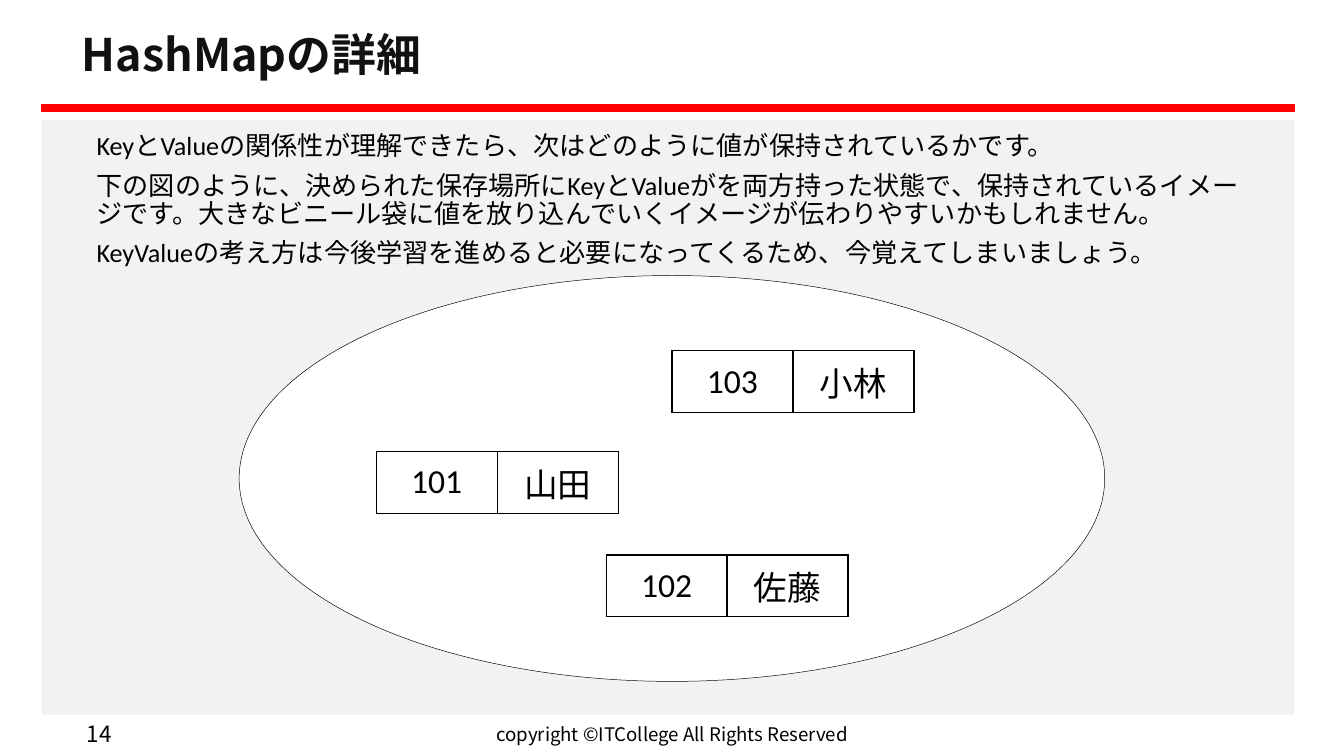
from dataclasses import dataclass

from lxml.etree import SubElement
from pptx import Presentation
from pptx.dml.color import RGBColor
from pptx.enum.lang import MSO_LANGUAGE_ID
from pptx.enum.shapes import MSO_SHAPE
from pptx.enum.text import MSO_ANCHOR, PP_ALIGN
from pptx.oxml.ns import qn
from pptx.util import Inches, Pt


@dataclass(frozen=True)
class Theme:
    ink: str = "000000"
    heading: str = "111111"
    panel: str = "F2F2F2"
    accent: str = "FF0000"
    paper: str = "FFFFFF"
    latin: str = "Calibri"
    japanese: str = "Noto Sans CJK JP"
    title_size: float = 24
    body_size: float = 14
    entry_size: float = 18
    number_size: float = 12
    copyright_size: float = 10
    thin: float = 0.25
    border: float = 0.75


def apply(target, values):
    for name, value in values.items():
        setattr(target, name, value)


def inches(*lengths):
    return [Inches(length) for length in lengths]


class SlideBuilder:
    def __init__(self, slide, theme):
        self.slide = slide
        self.theme = theme

    def format_paragraph(self, paragraph, size, font, color=None, bold=False, **layout):
        apply(paragraph, layout)
        for run in paragraph.runs:
            apply(run.font, {"size": Pt(size), "name": font, "bold": bold,
                             "language_id": MSO_LANGUAGE_ID.JAPANESE})
            run.font.color.rgb = RGBColor.from_string(color or self.theme.ink)
            east_asian = SubElement(run.font._element, qn("a:ea"))
            east_asian.set("typeface", self.theme.japanese)

    def title(self, text, box):
        heading = self.slide.shapes.title
        apply(heading, dict(zip(("left", "top", "width", "height"), inches(*box))))
        frame = heading.text_frame
        frame.text = text
        margins = ("margin_left", "margin_top", "margin_right", "margin_bottom")
        apply(frame, dict.fromkeys(margins, Inches(0.1)))
        apply(frame, {"vertical_anchor": MSO_ANCHOR.MIDDLE, "word_wrap": True})
        self.format_paragraph(frame.paragraphs[0], self.theme.title_size,
                              self.theme.japanese, self.theme.heading, True,
                              alignment=PP_ALIGN.LEFT, line_spacing=0.9)

    def shape(self, kind, box, fill, line=None, width=0):
        area = self.slide.shapes.add_shape(kind, *inches(*box))
        area.shadow.inherit = False
        area.fill.solid()
        area.fill.fore_color.rgb = RGBColor.from_string(fill)
        if line:
            area.line.color.rgb = RGBColor.from_string(line)
            area.line.width = Pt(width)
            SubElement(area.line._get_or_add_ln(), qn("a:miter"), lim="800000")
        else:
            area.line.fill.background()

    def text(self, lines, box, size, font, anchor=MSO_ANCHOR.MIDDLE,
             indent=0, gap=0, right=0.1, **layout):
        frame = self.slide.shapes.add_textbox(*inches(*box)).text_frame
        apply(frame, {"word_wrap": True, "vertical_anchor": anchor,
                      "margin_right": Inches(right)})
        frame.text = "\n".join(lines)
        for index, paragraph in enumerate(frame.paragraphs):
            paragraph._p.get_or_add_pPr().set("marL", str(Inches(indent)))
            self.format_paragraph(paragraph, size, font, **layout,
                                  space_before=Pt(gap if index else 0))

    def entry(self, key, value, left, top):
        frame = self.slide.shapes.add_table(1, 2, *inches(left, top, 1.8, 0.46))
        pair = frame.table
        apply(pair, {"first_row": False, "horz_banding": False})
        for cell, text in zip(pair.iter_cells(), (key, value)):
            cell.text = text
            cell.vertical_anchor = MSO_ANCHOR.MIDDLE
            self.format_paragraph(cell.text_frame.paragraphs[0], self.theme.entry_size,
                                  self.theme.latin, alignment=PP_ALIGN.CENTER)
            self.borders(cell)
            cell.fill.background()

    def borders(self, cell):
        properties = cell._tc.get_or_add_tcPr()
        for side in ("lnL", "lnR", "lnT", "lnB"):
            edge = SubElement(properties, qn(f"a:{side}"), w=str(Pt(self.theme.border)))
            fill = SubElement(edge, qn("a:solidFill"))
            SubElement(fill, qn("a:srgbClr"), val=self.theme.ink)


def main():
    theme = Theme()
    presentation = Presentation()
    apply(presentation, {"slide_width": Inches(10), "slide_height": Inches(10 * 9 / 16)})
    slide = presentation.slides.add_slide(presentation.slide_layouts[5])
    page = SlideBuilder(slide, theme)

    page.shape(MSO_SHAPE.RECTANGLE, (0.31, 0.89, 9.32, 4.43), theme.panel)
    page.shape(MSO_SHAPE.RECTANGLE, (0.31, 0.78, 9.32, 0.05), theme.accent, theme.accent, 1)
    page.shape(MSO_SHAPE.OVAL, (1.78, 2.05, 6.44, 3.02), theme.paper, theme.ink, theme.thin)

    page.title("HashMapの詳細", (0.51, 0.13, 8.99, 0.59))
    explanation = (
        "KeyとValueの関係性が理解できたら、次はどのように値が保持されているかです。",
        "下の図のように、決められた保存場所にKeyとValueがを両方持った状態で、"
        "保持されているイメージです。大きなビニール袋に値を放り込んでいくイメージが"
        "伝わりやすいかもしれません。",
        "KeyValueの考え方は今後学習を進めると必要になってくるため、今覚えてしまいましょう。",
    )
    page.text(explanation, (0.51, 0.94, 8.99, 4.29), theme.body_size, theme.latin,
              MSO_ANCHOR.TOP, indent=0.11, gap=6, right=0.15, line_spacing=0.9)

    entries = (
        ("101", "山田", 2.8, 3.36),
        ("102", "佐藤", 4.51, 4.13),
        ("103", "小林", 5, 2.61),
    )
    for entry in entries:
        page.entry(*entry)

    page.text(["copyright ©ITCollege All Rights Reserved"], (3.31, 5.32, 3.38, 0.28),
              theme.copyright_size, theme.japanese, alignment=PP_ALIGN.CENTER)
    page.text(["14"], (0.24, 5.32, 0.69, 0.28),
              theme.number_size, theme.japanese, alignment=PP_ALIGN.RIGHT)

    presentation.save("out.pptx")


if __name__ == "__main__":
    main()
